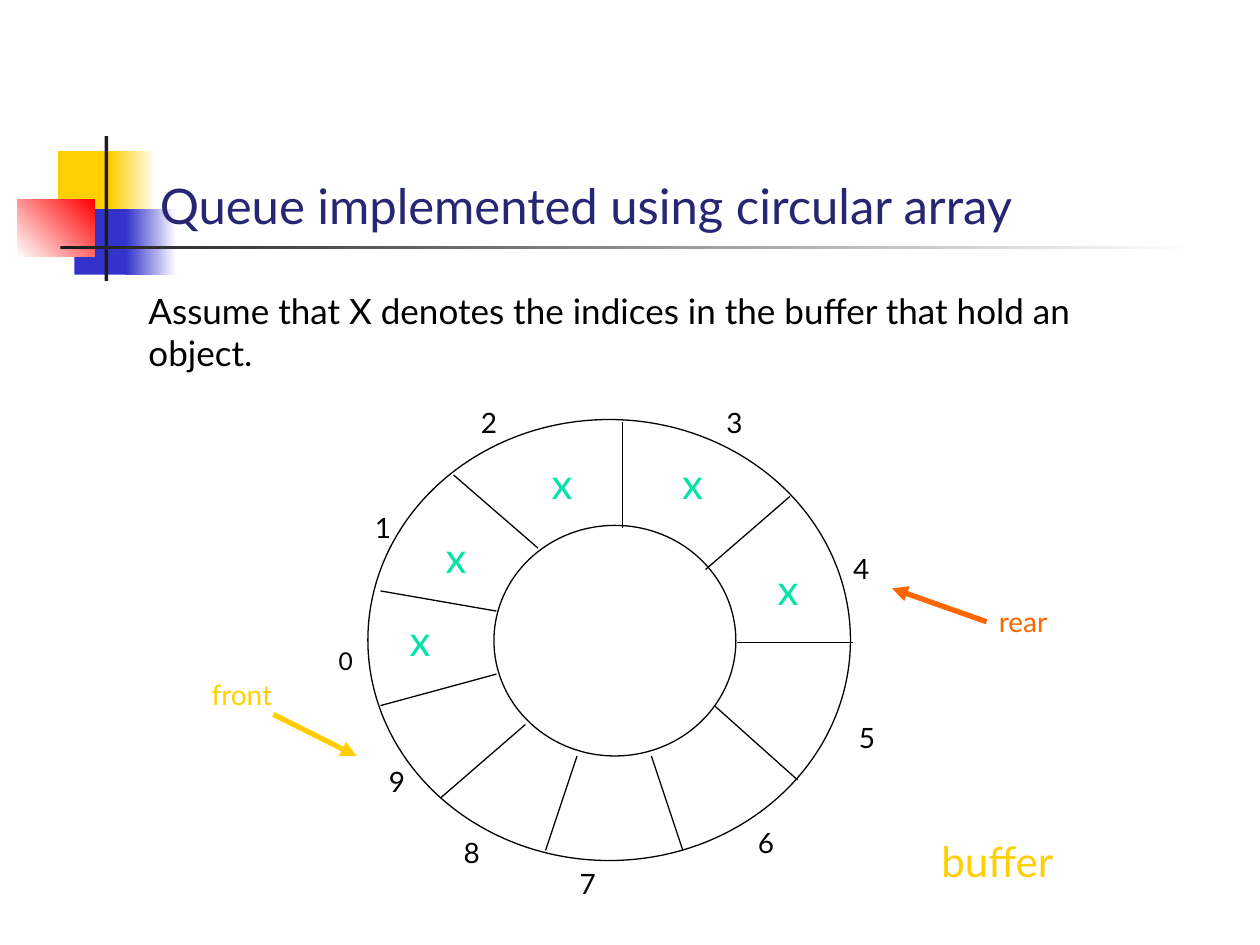
"""Build a slide that shows a queue stored in a circular array."""
from dataclasses import dataclass

from lxml import etree
from pptx import Presentation
from pptx.dml.color import RGBColor
from pptx.enum.shapes import MSO_CONNECTOR, MSO_SHAPE
from pptx.enum.text import MSO_ANCHOR, PP_ALIGN
from pptx.oxml.ns import qn
from pptx.util import Pt

PX = 9144
LEFT, CENTER = PP_ALIGN.LEFT, PP_ALIGN.CENTER
TOP = MSO_ANCHOR.TOP
RECTANGLE, OVAL = MSO_SHAPE.RECTANGLE, MSO_SHAPE.OVAL
STRAIGHT = MSO_CONNECTOR.STRAIGHT
LEFT_SIDE = 1


@dataclass(frozen=True)
class Theme:
    font: str = "Lato"
    white: str = "FFFFFF"
    black: str = "000000"
    bar: str = "1C1C1C"
    gold: str = "FFCF01"
    blue: str = "3333CC"
    red: str = "FF0000"
    title: str = "262673"
    item: str = "00E4A8"
    rear: str = "FF6600"
    title_size: int = 28
    item_size: int = 24
    body_size: int = 20
    label_size: int = 16
    small_size: int = 14
    thin: float = 0.75
    thick: float = 3


class Painter:
    def __init__(self, page, theme):
        self.page = page
        self.theme = theme

    def shape(self, kind, bounds, color, outline=None):
        item = self.page.shapes.add_shape(kind, *(v * PX for v in bounds))
        item.shadow.inherit = False
        item.fill.solid()
        item.fill.fore_color.rgb = RGBColor.from_string(color)
        if outline:
            item.line.color.rgb = RGBColor.from_string(outline)
            item.line.width = Pt(self.theme.thin)
        else:
            item.line.fill.background()
        return item

    def gradient(self, bounds, start, end, angle=0):
        item = self.shape(RECTANGLE, bounds, start)
        item.fill.gradient()
        item.fill.gradient_angle = angle
        for stop, color in zip(item.fill.gradient_stops, (start, end)):
            stop.color.rgb = RGBColor.from_string(color)

    def line(self, ends, color, width):
        connector = self.page.shapes.add_connector(STRAIGHT, *(v * PX for v in ends))
        connector.line.color.rgb = RGBColor.from_string(color)
        connector.line.width = Pt(width)
        etree.SubElement(connector._element.spPr, qn("a:effectLst"))
        return connector

    def arrow(self, ends, color):
        connector = self.line(ends, color, self.theme.thick)
        outline = connector._element.spPr.find(qn("a:ln"))
        etree.SubElement(outline, qn("a:tailEnd"), type="triangle")
        return connector

    def text(self, bounds, words, size, color, align=CENTER):
        box = self.page.shapes.add_textbox(*(v * PX for v in bounds))
        frame = box.text_frame
        frame.word_wrap = True
        frame.vertical_anchor = TOP
        para = frame.paragraphs[0]
        para.alignment = align
        span = para.add_run()
        span.text = words
        span.font.name = self.theme.font
        span.font.size = Pt(size)
        span.font.color.rgb = RGBColor.from_string(color)
        return box


def draw_ornament(painter):
    theme = painter.theme
    painter.shape(RECTANGLE, (46, 120, 48, 52), theme.gold)
    painter.gradient((88, 120, 36, 52), theme.gold, theme.white)
    painter.shape(RECTANGLE, (59, 166, 46, 52), theme.blue)
    painter.gradient((100, 166, 40, 52), theme.blue, theme.white)
    painter.gradient((14, 158, 61, 46), theme.white, theme.red, 45)
    painter.shape(RECTANGLE, (83, 108, 3, 115), theme.bar)
    painter.gradient((48, 195, 900, 3), theme.bar, theme.white)


def draw_ring(painter):
    theme = painter.theme
    for bounds in ((292, 333, 383, 350), (392, 417, 192, 183)):
        painter.shape(OVAL, bounds, theme.white, theme.black)
    dividers = (
        (360, 377, 427, 435), (494, 335, 494, 419), (627, 394, 560, 452),
        (585, 510, 677, 510), (567, 560, 633, 619), (517, 600, 542, 675),
        (458, 600, 433, 675), (417, 575, 350, 633), (394, 535, 302, 560),
        (394, 485, 302, 469),
    )
    for ends in dividers:
        painter.line(ends, theme.black, theme.thin)
    indices = (
        (258, 508, 33), (283, 400, 42), (367, 317, 42), (558, 317, 50),
        (667, 433, 33), (667, 567, 42), (583, 650, 50), (450, 683, 33),
        (358, 658, 33), (294, 602, 42),
    )
    for index, (left, top, width) in enumerate(indices):
        size = theme.label_size if index else theme.small_size
        painter.text((left, top, width, 37), str(index), size, theme.black)
    items = (
        (300, 483, 67, "x"), (333, 417, 58, "x"), (417, 358, 58, "x"),
        (508, 358, 75, " x"), (592, 442, 67, "x"),
    )
    for left, top, width, mark in items:
        painter.text((left, top, width, 50), mark, theme.item_size, theme.item)


def draw_labels(painter):
    theme = painter.theme
    rear = painter.text((783, 475, 150, 37), "rear", theme.label_size, theme.rear, LEFT)
    painter.arrow((783, 492, 708, 467), theme.rear).begin_connect(rear, LEFT_SIDE)
    painter.text(
        (108, 225, 833, 77),
        "Assume that X denotes the indices in the buffer that hold an object.",
        theme.body_size, theme.black, LEFT,
    )
    painter.text((683, 658, 217, 50), "buffer", theme.item_size, theme.gold)
    painter.arrow((217, 567, 283, 600), theme.gold)
    painter.text((142, 533, 100, 37), "front", theme.label_size, theme.gold)
    painter.text(
        (117, 134, 842, 57), "Queue implemented using circular array",
        theme.title_size, theme.title, LEFT,
    )


def main():
    deck = Presentation()
    deck.slide_width, deck.slide_height = 1000 * PX, 750 * PX
    page = deck.slides.add_slide(deck.slide_layouts[6])
    painter = Painter(page, Theme())
    draw_ornament(painter)
    draw_ring(painter)
    draw_labels(painter)
    deck.save("out.pptx")


if __name__ == "__main__":
    main()
